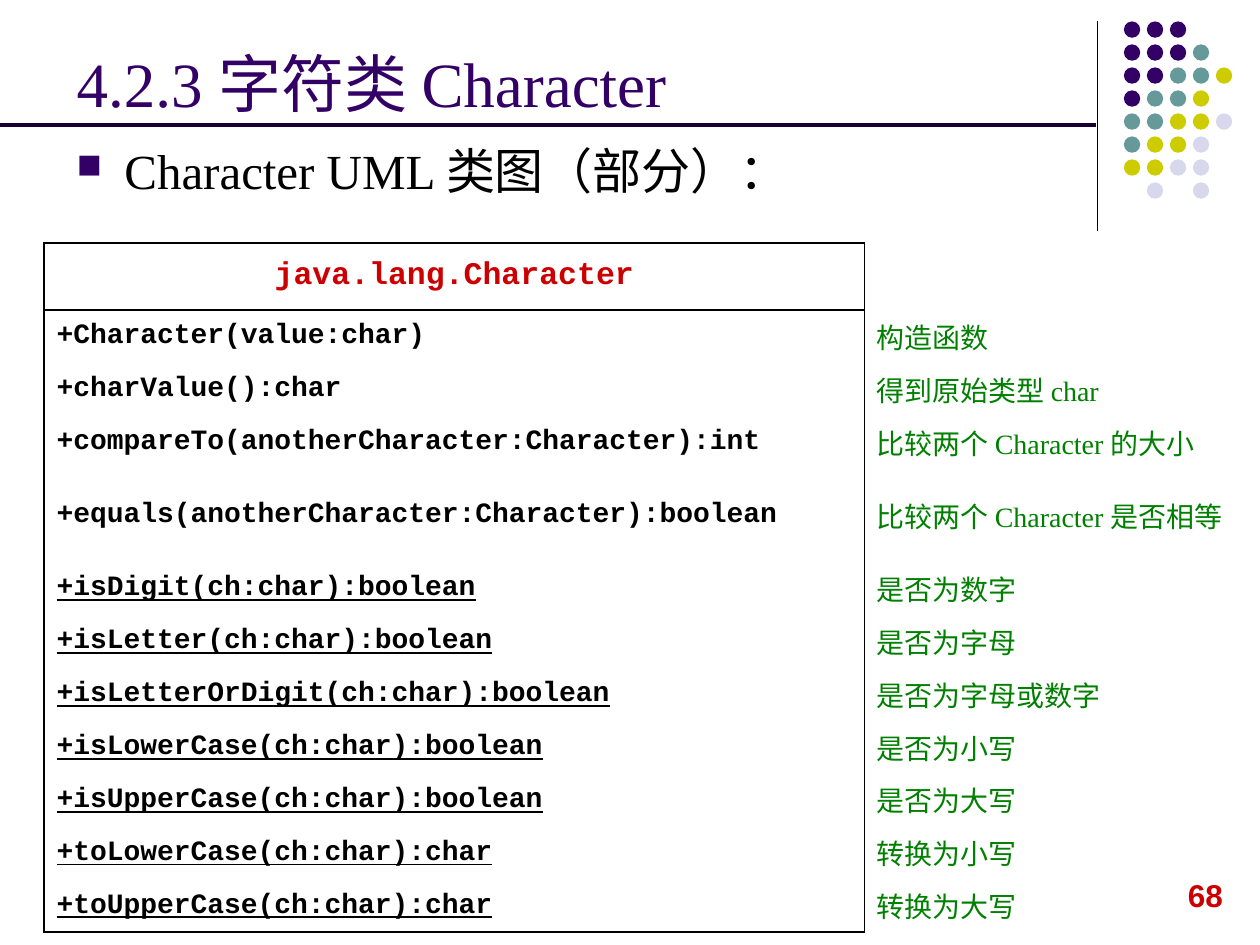
import pptx
import pptx.dml.color
import pptx.enum.shapes
import pptx.enum.text
import pptx.oxml
import pptx.oxml.ns
import pptx.util
from pptx.util import Inches

PURPLE, TEAL, YELLOW, PALE = "330066", "669999", "CCCC00", "D8D8EC"
BLACK, RED, GREEN, RULE = "000000", "CC0000", "008000", "190033"
SERIF, MONO, SANS = "Times New Roman", "Courier New", "Arial"
ANCHOR = pptx.enum.text.MSO_ANCHOR
ALIGN = pptx.enum.text.PP_ALIGN


def color(value):
    return pptx.dml.color.RGBColor.from_string(value)


def add_xml(parent, xml, index=None):
    el = pptx.oxml.parse_xml(xml.replace(">", f" {pptx.oxml.ns.nsdecls('a')}>", 1)
                             if "/>" not in xml.split(">")[0] + ">"
                             else xml.replace("/>", f" {pptx.oxml.ns.nsdecls('a')}/>", 1))
    parent.insert(len(parent) if index is None else index, el)


def write(tf, text, font=SERIF, size=16, fill=BLACK, bold=False,
          underline=False, align=ALIGN.LEFT, bullet=None):
    p = tf.paragraphs[0]
    p.alignment = align
    if bullet:
        pPr = p._p.get_or_add_pPr()
        pPr.set("marL", str(Inches(0.38)))
        pPr.set("indent", str(-Inches(0.38)))
        add_xml(pPr, f'<a:buClr><a:srgbClr val="{PURPLE}"/></a:buClr>')
        add_xml(pPr, '<a:buSzPct val="70000"/>')
        add_xml(pPr, f'<a:buChar char="{bullet}"/>')
    r = p.add_run()
    r.text = text
    r.font.name = font
    r.font.size = pptx.util.Pt(size)
    r.font.bold = bold
    r.font.underline = underline
    r.font.color.rgb = color(fill)


class Deck:
    def __init__(self):
        self.prs = pptx.Presentation()
        self.prs.slide_width, self.prs.slide_height = Inches(10), Inches(7.5)
        self.s = self.prs.slides.add_slide(self.prs.slide_layouts[6])

    def line(self, x1, y1, x2, y2, stroke, width):
        sp = self.s.shapes.add_connector(
            pptx.enum.shapes.MSO_CONNECTOR.STRAIGHT,
            Inches(x1), Inches(y1), Inches(x2), Inches(y2))
        sp.line.color.rgb = color(stroke)
        sp.line.width = pptx.util.Pt(width)
        add_xml(sp._element.spPr, "<a:effectLst/>")

    def dot(self, x, y, size, fill):
        sp = self.s.shapes.add_shape(pptx.enum.shapes.MSO_SHAPE.OVAL,
                                     Inches(x), Inches(y), Inches(size), Inches(size))
        sp.shadow.inherit = False
        sp.fill.solid()
        sp.fill.fore_color.rgb = color(fill)
        sp.line.fill.background()

    def text(self, x, y, w, h, text, anchor=ANCHOR.TOP, wrap=True, **fmt):
        tf = self.s.shapes.add_textbox(Inches(x), Inches(y), Inches(w), Inches(h)).text_frame
        tf.word_wrap = wrap
        tf.vertical_anchor = anchor
        write(tf, text, **fmt)

    def table(self, x, y, widths, heights):
        frame = self.s.shapes.add_table(len(heights), len(widths), Inches(x), Inches(y),
                                        Inches(sum(widths)), Inches(sum(heights)))
        table = frame.table
        table.first_row = table.horz_banding = False
        for col, w in zip(table.columns, widths):
            col.width = Inches(w)
        for row, h in zip(table.rows, heights):
            row.height = Inches(h)
        return table

    def cell(self, cell, text, borders, **fmt):
        cell.vertical_anchor = ANCHOR.MIDDLE
        cell.fill.background()
        tcPr = cell._tc.get_or_add_tcPr()
        for i, side in enumerate("LRTB"):
            paint = (f'<a:solidFill><a:srgbClr val="{BLACK}"/></a:solidFill>'
                     if side in borders else "<a:noFill/>")
            add_xml(tcPr, f'<a:ln{side} w="12700">{paint}</a:ln{side}>', i)
        if text:
            write(cell.text_frame, text, **fmt)


METHODS = [
    ("+Character(value:char)", "构造函数"),
    ("+charValue():char", "得到原始类型 char"),
    ("+compareTo(anotherCharacter:Character):int", "比较两个 Character 的大小"),
    ("+equals(anotherCharacter:Character):boolean", "比较两个 Character 是否相等"),
    ("+isDigit(ch:char):boolean", "是否为数字"),
    ("+isLetter(ch:char):boolean", "是否为字母"),
    ("+isLetterOrDigit(ch:char):boolean", "是否为字母或数字"),
    ("+isLowerCase(ch:char):boolean", "是否为小写"),
    ("+isUpperCase(ch:char):boolean", "是否为大写"),
    ("+toLowerCase(ch:char):char", "转换为小写"),
    ("+toUpperCase(ch:char):char", "转换为大写"),
]
DOTS = ["PPP", "PPPT", "PPTTY", "PTTY", "TTYYL", "TYYL", "YYLL", " L L"]
DOT_FILLS = {"P": PURPLE, "T": TEAL, "Y": YELLOW, "L": PALE}


def main():
    deck = Deck()

    # Corner decoration
    deck.line(8.71, 0.17, 8.71, 1.83, BLACK, 0.75)
    pitch = 0.73 / 4
    for row, codes in enumerate(DOTS):
        for col, code in enumerate(codes):
            if code in DOT_FILLS:
                deck.dot(8.92 + col * pitch, 0.17 + row * pitch, 0.13, DOT_FILLS[code])

    # Slide number, title and bullet
    deck.text(9.33, 6.9, 0.51, 0.4, "68", wrap=False,
              font=SANS, size=18, fill=RED, bold=True)
    deck.text(0.51, 0.21, 8.25, 0.79, "4.2.3 字符类 Character", anchor=ANCHOR.BOTTOM,
              size=36, fill=PURPLE)
    deck.text(0.51, 1.07, 9, 5.67, "Character UML 类图（部分）：", size=28, bullet="■")

    # Class diagram: static methods are underlined
    heights = [0.53] + [0.74 if "equals" in m else 0.42 for m, _ in METHODS]
    table = deck.table(0.35, 1.93, [6.51, 3.02], heights)
    deck.cell(table.cell(0, 0), "java.lang.Character", "LRTB", font=MONO, size=18,
              fill=RED, bold=True, align=ALIGN.CENTER)
    deck.cell(table.cell(0, 1), "", "L")
    for i, (method, note) in enumerate(METHODS, 1):
        edge = {1: "T", len(METHODS): "B"}.get(i, "")
        deck.cell(table.cell(i, 0), method, "LR" + edge, font=MONO, bold=True,
                  underline=method.startswith(("+is", "+to")))
        deck.cell(table.cell(i, 1), note, "L", fill=GREEN)

    # Rule under the title
    deck.line(0, 0.99, 8.7, 0.99, RULE, 2.25)

    deck.prs.save("out.pptx")


if __name__ == "__main__":
    main()
